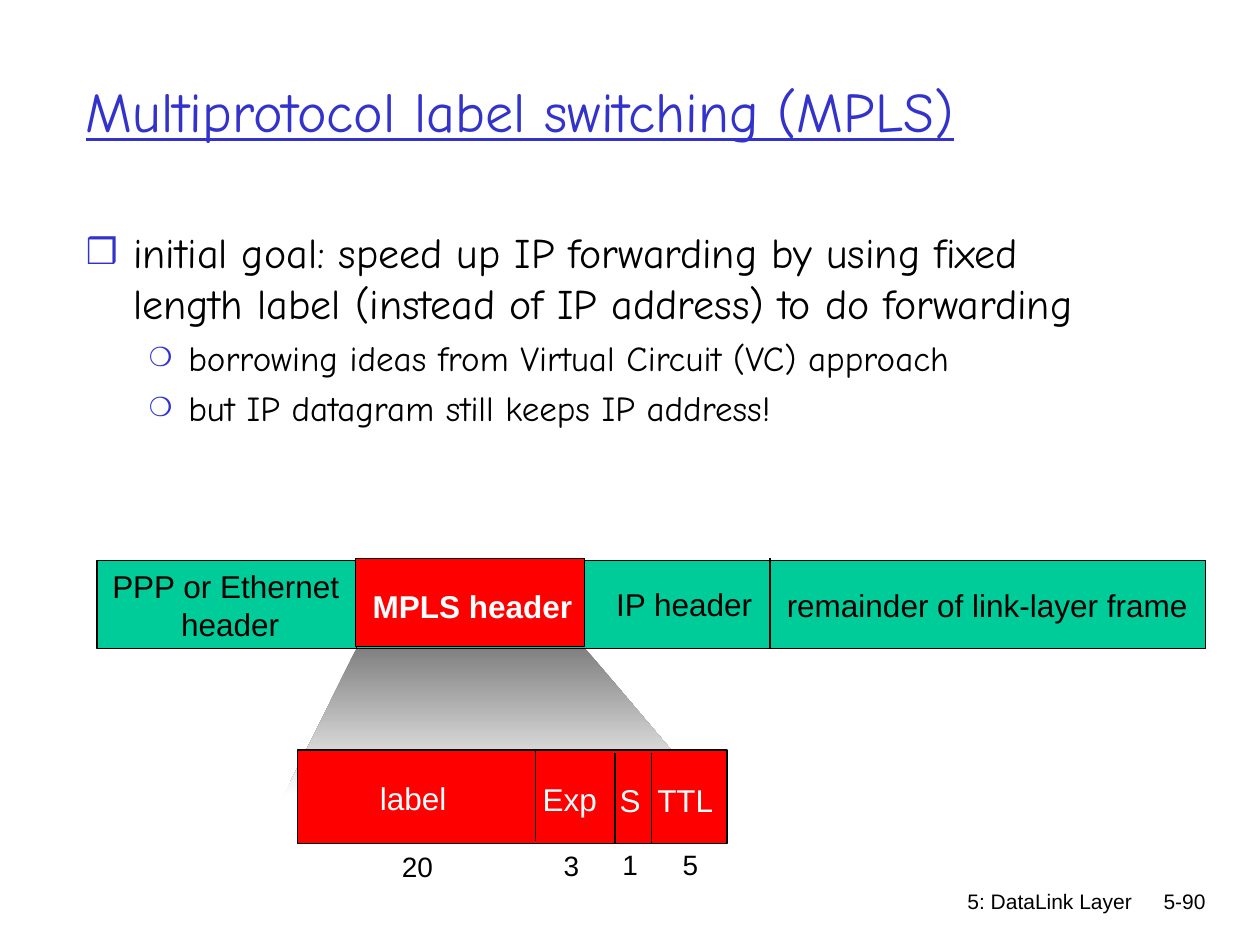
from dataclasses import dataclass

from lxml.etree import SubElement
from pptx import Presentation
from pptx.dml.color import RGBColor
from pptx.enum.shapes import MSO_CONNECTOR, MSO_SHAPE
from pptx.enum.text import MSO_ANCHOR, MSO_AUTO_SIZE, PP_ALIGN
from pptx.oxml.ns import qn
from pptx.util import Pt


@dataclass(frozen=True)
class Theme:
    black: RGBColor = RGBColor(0, 0, 0)
    white: RGBColor = RGBColor(255, 255, 255)
    blue: RGBColor = RGBColor(0x33, 0x33, 0xCC)
    green: RGBColor = RGBColor(0, 0xCC, 0x99)
    red: RGBColor = RGBColor(255, 0, 0)
    gray: RGBColor = RGBColor(128, 128, 128)
    heading_font: str = "Comic Neue"
    label_font: str = "Arial"
    title: int = 32
    body: int = 24
    sub: int = 20
    label: int = 18
    bits: int = 16
    footer: int = 12
    line: float = 0.75


T = Theme()
LEFT, CENTER, RIGHT = PP_ALIGN.LEFT, PP_ALIGN.CENTER, PP_ALIGN.RIGHT

prs = Presentation()
prs.slide_width, prs.slide_height = Pt(720), Pt(540)
s = prs.slides.add_slide(prs.slide_layouts[6])


def add_text(box, lines, size, color=T.black, font=T.label_font, align=LEFT, wrap=False):
    """Add a text box with one paragraph per line; unwrapped boxes fit their text."""
    sp = s.shapes.add_textbox(*map(Pt, box))
    tf = sp.text_frame
    tf.word_wrap = wrap
    tf.auto_size = MSO_AUTO_SIZE.NONE if wrap else MSO_AUTO_SIZE.SHAPE_TO_FIT_TEXT
    for i, line in enumerate(lines):
        p = tf.paragraphs[0] if i == 0 else tf.add_paragraph()
        p.alignment = align
        r = p.add_run()
        r.text = line
        r.font.name, r.font.size = font, Pt(size)
        r.font.color.rgb = color
    return sp


def add_box(box, fill, dividers=()):
    """Add an outlined rectangle and its vertical dividers (x, top, bottom)."""
    sp = s.shapes.add_shape(MSO_SHAPE.RECTANGLE, *map(Pt, box))
    sp.shadow.inherit = False
    sp.fill.solid()
    sp.fill.fore_color.rgb = fill
    sp.line.color.rgb, sp.line.width = T.black, Pt(T.line)
    for x, top, bottom in dividers:
        ln = s.shapes.add_connector(MSO_CONNECTOR.STRAIGHT, Pt(x), Pt(top), Pt(x), Pt(bottom))
        ln.line.color.rgb, ln.line.width = T.black, Pt(T.line)
        SubElement(ln._element.spPr, qn("a:effectLst"))


# Footer and title
add_text((426, 504, 228, 36), ["5: DataLink Layer"], T.footer, align=RIGHT, wrap=True)
add_text((643, 504, 53, 36), ["5-90"], T.footer, align=RIGHT, wrap=True)
title = add_text((42, 18, 612, 90), ["Multiprotocol label switching (MPLS)"],
                 T.title, T.blue, T.heading_font, wrap=True)
title.text_frame.vertical_anchor = MSO_ANCHOR.MIDDLE
title.text_frame.paragraphs[0].runs[0].font.underline = True

# Bulleted body: text, level, size, margin, hanging indent, bullet, bullet scale
bullets = [
    ("initial goal: speed up IP forwarding by using fixed length label "
     "(instead of IP address) to do forwarding", 0, T.body, 27, 27, "❒", 85),
    ("borrowing ideas from Virtual Circuit (VC) approach", 1, T.sub, 58.5, 22.5, "❍", 75),
    ("but IP datagram still keeps IP address!", 1, T.sub, 58.5, 22.5, "❍", 75),
]
body = add_text((42, 126, 612, 366), [b[0] for b in bullets],
                T.body, font=T.heading_font, wrap=True)
for p, (_, level, size, margin, hang, mark, scale) in zip(body.text_frame.paragraphs, bullets):
    p.level = level
    p.space_before = Pt(5 if level else 0)
    p.runs[0].font.size = Pt(size)
    pPr = p._p.get_or_add_pPr()
    pPr.set("marL", str(Pt(margin)))
    pPr.set("indent", str(-Pt(hang)))
    SubElement(SubElement(pPr, qn("a:buClr")), qn("a:srgbClr"), val=str(T.blue))
    SubElement(pPr, qn("a:buSzPct"), val=str(scale * 1000))
    SubElement(pPr, qn("a:buFont"), typeface=T.label_font)
    SubElement(pPr, qn("a:buChar"), char=mark)

# Shaded zoom from the MPLS header to its fields
builder = s.shapes.build_freeform(203.75, 370, scale=Pt(1))
builder.add_line_segments([(161.5, 455.25), (406, 455.25), (334, 370)])
zoom = builder.convert_to_shape()
zoom.shadow.inherit = False
zoom.line.fill.background()
zoom.fill.gradient()
zoom.fill.gradient_angle = 270
for stop, color in zip(zoom.fill.gradient_stops, (T.gray, T.white)):
    stop.color.rgb = color

# Link-layer frame
add_box((55.5, 320.25, 633.5, 50.25), T.green,
        [(203.75, 319.5, 370.5), (334, 319, 370), (440, 319, 370.5)])
add_text((56, 320.5, 151, 50.5), ["PPP or Ethernet ", "header"], T.label, align=CENTER)
add_text((344, 330.5, 94, 29), ["IP header"], T.label, align=CENTER)
add_text((442.5, 331.5, 245, 29), ["remainder of link-layer frame"], T.label)
add_box((203, 319, 131, 50.5), T.red)
mpls = add_text((203, 332, 134, 29), ["MPLS header"], T.label, T.white, align=CENTER)
mpls.text_frame.paragraphs[0].runs[0].font.bold = True

# MPLS header fields: name, box left, top, width; bit count, box left, top, width
add_box((170, 428.5, 245.5, 53.5), T.red,
        [(306, 429, 480.5), (351.5, 430.5, 482), (372.5, 430.5, 481.5)])
fields = [
    ("label", 210, 441.5, 54, "20", 222.5, 481.75, 34),
    ("Exp", 303, 442, 47, "3", 315, 481.25, 24),
    ("S", 347, 442.5, 27, "1", 348.5, 481, 24),
    ("TTL", 368.5, 442.5, 49, "5", 383, 481, 24),
]
for name, x, y, w, bits, bits_x, bits_y, bits_w in fields:
    add_text((x, y, w, 29), [name], T.label, T.white)
    add_text((bits_x, bits_y, bits_w, 26.5), [bits], T.bits)

prs.save("out.pptx")
